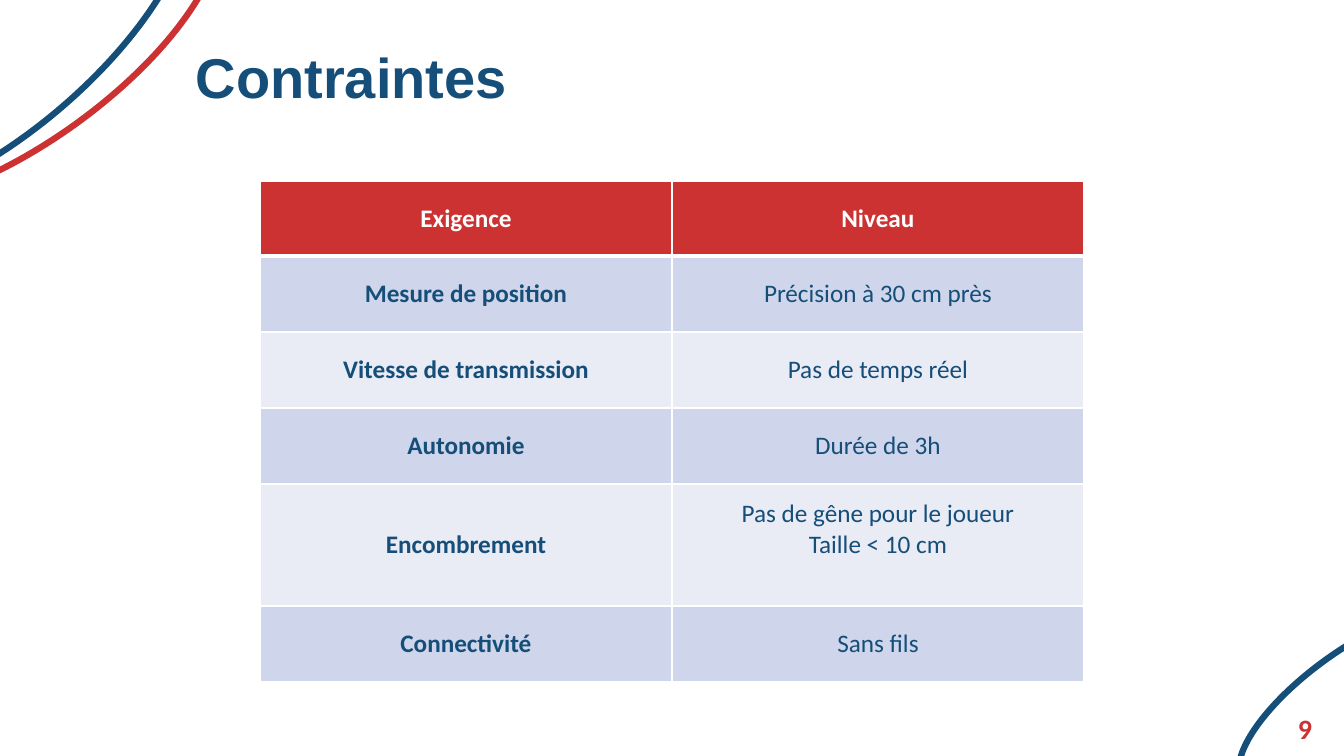
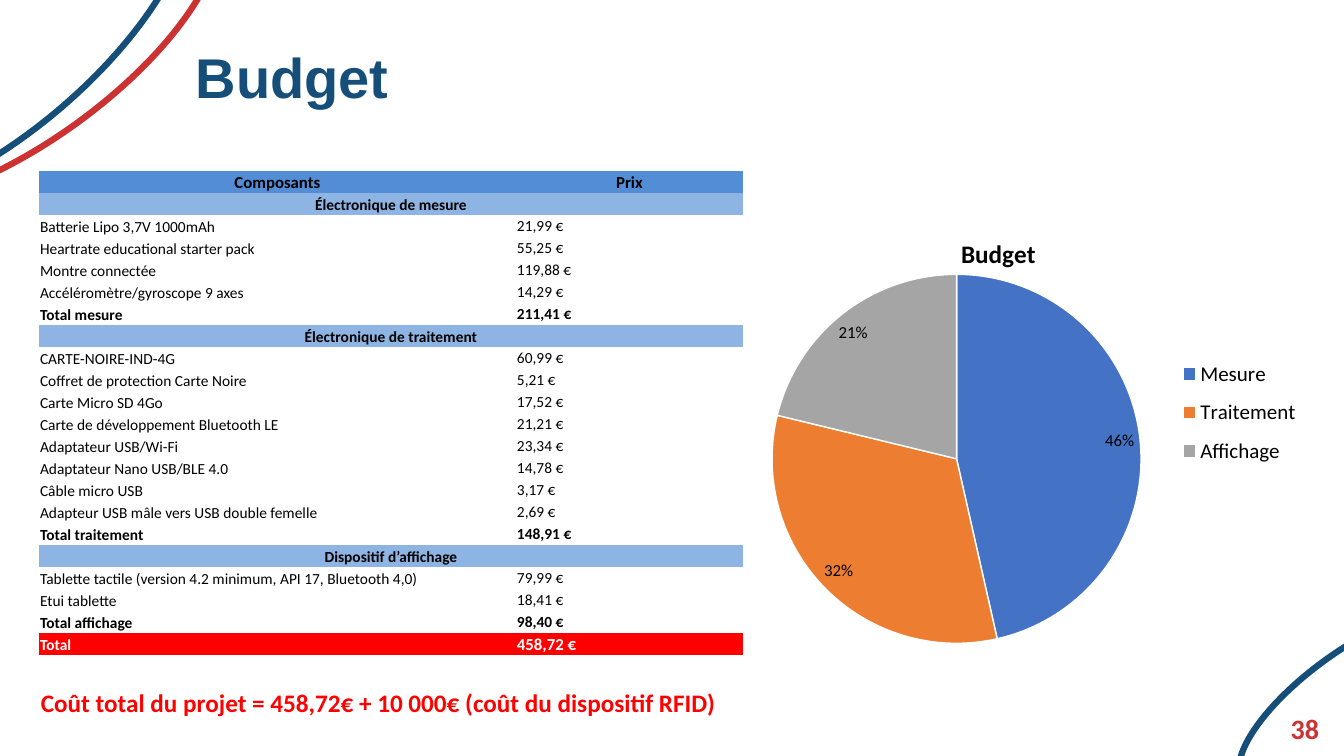
from lxml import etree
from pptx import Presentation
from pptx.chart.data import CategoryChartData
from pptx.dml.color import RGBColor
from pptx.enum.chart import XL_CHART_TYPE, XL_LABEL_POSITION, XL_LEGEND_POSITION
from pptx.enum.shapes import MSO_SHAPE
from pptx.enum.text import MSO_ANCHOR, MSO_AUTO_SIZE, PP_ALIGN
from pptx.oxml import parse_xml
from pptx.oxml.ns import nsdecls, qn
from pptx.util import Pt

PIE = XL_CHART_TYPE.PIE
BEST_FIT = XL_LABEL_POSITION.BEST_FIT
LEGEND_RIGHT = XL_LEGEND_POSITION.RIGHT
DELAY = MSO_SHAPE.FLOWCHART_DELAY
TOP, MIDDLE, BOTTOM = MSO_ANCHOR.TOP, MSO_ANCHOR.MIDDLE, MSO_ANCHOR.BOTTOM
GROW, FIXED = MSO_AUTO_SIZE.SHAPE_TO_FIT_TEXT, MSO_AUTO_SIZE.NONE
LEFT, CENTER = PP_ALIGN.LEFT, PP_ALIGN.CENTER

WIDTH, HEIGHT = 1344, 756
SCALE = 12192000 / WIDTH
NO_STYLE = "{2D5ABB26-0587-4C30-8999-92F81FD0307C}"
COLORS = {
    "blue": "154E79", "red": "CC3232", "alert": "FF0000",
    "white": "FFFFFF", "black": "000000",
    "band_dark": "CFD5EA", "band_light": "E9EBF5",
    "head": "538DD5", "section": "8DB4E2",
    "measure": "4472C4", "process": "ED7D31", "display": "A5A5A5",
}
SWOOPS = [
    ((-81, -195, 197, 479), 54.3, "red"),
    ((-101, -207, 197, 479), 49.4, "blue"),
    ((1308, 554, 111, 294), 235.4, "blue"),
]
REQUIREMENTS = [
    ("Exigence", "Niveau"),
    ("Mesure de position", "Précision à 30 cm près"),
    ("Vitesse de transmission", "Pas de temps réel"),
    ("Autonomie", "Durée de 3h"),
    ("Encombrement", "Pas de gêne pour le joueur\nTaille < 10 cm"),
    ("Connectivité", "Sans fils"),
]
COSTS = [
    ("Composants", "Prix"),
    ("Électronique de mesure",),
    ("Batterie Lipo 3,7V 1000mAh", "21,99 €"),
    ("Heartrate educational starter pack", "55,25 €"),
    ("Montre connectée", "119,88 €"),
    ("Accéléromètre/gyroscope 9 axes", "14,29 €"),
    ("Total mesure", "211,41 €"),
    ("Électronique de traitement",),
    ("CARTE-NOIRE-IND-4G", "60,99 €"),
    ("Coffret de protection Carte Noire", "5,21 €"),
    ("Carte Micro SD 4Go", "17,52 €"),
    ("Carte de développement Bluetooth LE", "21,21 €"),
    ("Adaptateur USB/Wi-Fi", "23,34 €"),
    ("Adaptateur Nano USB/BLE 4.0", "14,78 €"),
    ("Câble micro USB", "3,17 €"),
    ("Adapteur USB mâle vers USB double femelle", "2,69 €"),
    ("Total traitement", "148,91 €"),
    ("Dispositif d’affichage",),
    ("Tablette tactile (version 4.2 minimum, API 17, Bluetooth 4,0)", "79,99 €"),
    ("Etui tablette", "18,41 €"),
    ("Total affichage", "98,40 €"),
    ("Total", "458,72 €"),
]
SHARES = [("Mesure", 46, "measure"), ("Traitement", 32, "process"),
          ("Affichage", 21, "display")]


def px(n):
    return round(n * SCALE)


def rgb(name):
    return RGBColor.from_string(COLORS[name])


class Deck:
    """Holds the shared style and the slide being drawn."""

    def __init__(self):
        self.prs = Presentation()
        self.prs.slide_width, self.prs.slide_height = px(WIDTH), px(HEIGHT)
        self.s = None

    def slide(self, title, number):
        self.s = self.prs.slides.add_slide(self.prs.slide_layouts[6])
        for box, angle, color in SWOOPS:
            self.swoop(box, angle, color)
        self.text((1272, 701, 66, 55), number, 20, "red", align=CENTER, anchor=MIDDLE)
        self.text((186, 38, 988, 78), title, 40, "blue", name="Arial", grow=GROW)

    def swoop(self, box, angle, color):
        sp = self.s.shapes.add_shape(DELAY, *map(px, box))
        sp.rotation = angle
        sp.shadow.inherit = False
        sp.fill.background()
        sp.line.color.rgb = rgb(color)
        sp.line.width = Pt(4.5)

    def font(self, font, size, color="black", bold=False, name="Calibri"):
        values = {"size": Pt(size), "bold": bold, "name": name}
        for key, value in values.items():
            setattr(font, key, value)
        font.color.rgb = rgb(color)

    def fill_text(self, tf, text, align, size, color, bold, name="Calibri"):
        tf.text = text
        for p in tf.paragraphs:
            p.alignment = align
            for r in p.runs:
                self.font(r.font, size, color, bold, name)

    def text(self, box, text, size, color, name="Calibri", align=LEFT,
             anchor=TOP, grow=FIXED, wrap=True):
        tf = self.s.shapes.add_textbox(*map(px, box)).text_frame
        values = {"word_wrap": wrap, "auto_size": grow, "vertical_anchor": anchor}
        for key, value in values.items():
            setattr(tf, key, value)
        self.fill_text(tf, text, align, size, color, True, name)

    def table(self, left, top, widths, heights):
        frame = self.s.shapes.add_table(len(heights), len(widths), px(left), px(top),
                                        px(sum(widths)), px(sum(heights)))
        table = frame.table
        table.first_row = table.horz_banding = False
        frame._element.find(".//" + qn("a:tableStyleId")).text = NO_STYLE
        for col, width in zip(table.columns, widths):
            col.width = px(width)
        for row, height in zip(table.rows, heights):
            row.height = px(height)
        return table

    def cell(self, cell, text, size, color, bold, fill=None, align=LEFT,
             anchor=MIDDLE, margin=None):
        cell.vertical_anchor = anchor
        if margin is not None:
            for side in ("left", "right", "top"):
                setattr(cell, "margin_" + side, px(margin))
            cell.margin_bottom = 0
        if fill:
            cell.fill.solid()
            cell.fill.fore_color.rgb = rgb(fill)
        else:
            cell.fill.background()
        self.fill_text(cell.text_frame, text, align, size, color, bold)

    def borders(self, cell, color, **widths):
        tc_pr = cell._tc.get_or_add_tcPr()
        for i, (side, width) in enumerate(widths.items()):
            ln = etree.Element(qn("a:ln" + side), w=str(Pt(width)))
            fill = etree.SubElement(ln, qn("a:solidFill"))
            etree.SubElement(fill, qn("a:srgbClr"), val=COLORS[color])
            tc_pr.insert(i, ln)

    def place(self, parent, index, target="", **fractions):
        for old in parent.findall(qn("c:layout")):
            parent.remove(old)
        items = [("layoutTarget", target)] if target else []
        items += [("xMode", "edge"), ("yMode", "edge"), *fractions.items()]
        body = "".join(f'<c:{tag} val="{value}"/>' for tag, value in items)
        parent.insert(index, parse_xml(
            f'<c:layout {nsdecls("c")}><c:manualLayout>{body}</c:manualLayout></c:layout>'))

    def pie(self, box, title, shares):
        data = CategoryChartData()
        data.categories = [name for name, _, _ in shares]
        data.add_series(title, [value for _, value, _ in shares])
        chart = self.s.shapes.add_chart(PIE, *map(px, box), data).chart
        self.font(chart.font, 10)
        chart.has_title = chart.has_legend = True
        self.fill_text(chart.chart_title.text_frame, title, CENTER, 18, "black", True)
        chart.legend.position = LEGEND_RIGHT
        chart.legend.include_in_layout = False
        self.font(chart.legend.font, 15)
        plot = chart.plots[0]
        plot.vary_by_categories = True
        plot.has_data_labels = True
        labels = plot.data_labels
        values = {"show_percentage": True, "show_value": False, "number_format": "0%",
                  "number_format_is_linked": False, "position": BEST_FIT}
        for key, value in values.items():
            setattr(labels, key, value)
        self.font(labels.font, 12)
        for i, (_, _, color) in enumerate(shares):
            fmt = plot.series[0].points[i].format
            fmt.fill.solid()
            fmt.fill.fore_color.rgb = rgb(color)
            fmt.line.color.rgb = rgb("white")
            fmt.line.width = Pt(1)
        root = chart.element
        self.place(root.find(".//" + qn("c:title")), 1, x=0.37, y=0.08)
        self.place(root.find(".//" + qn("c:legend")), 1, x=0.72, y=0.33, w=0.22, h=0.28)
        self.place(root.find(".//" + qn("c:plotArea")), 0, "inner",
                   x=0.07, y=0.17, w=0.6, h=0.8)


def constraints(deck):
    deck.slide("Contraintes", "9")
    table = deck.table(260, 181, [412, 412], [75, 76, 76, 76, 122, 76])
    for i, row in enumerate(REQUIREMENTS):
        head = i == 0
        fill = "red" if head else ("band_light", "band_dark")[i % 2]
        for j, text in enumerate(row):
            cell = table.cell(i, j)
            deck.cell(cell, text, 18, "white" if head else "blue",
                      head or j == 0, fill, CENTER)
            deck.borders(cell, "white", L=1, R=1, T=3 if i == 1 else 1, B=3 if head else 1)
            if "\n" in text:
                cell.margin_bottom = px(36)


def budget(deck):
    deck.slide("Budget", "38")
    deck.text((31, 682, 704, 40),
              "Coût total du projet = 458,72€ + 10 000€ (coût du dispositif RFID)",
              18, "alert", grow=GROW, wrap=False)
    table = deck.table(39, 171, [477, 227], [22] * len(COSTS))
    for i, row in enumerate(COSTS):
        head, section, total = i == 0, len(row) == 1, row[0] == "Total"
        fill = "head" if head else "section" if section else "alert" if total else None
        if section:
            table.cell(i, 0).merge(table.cell(i, 1))
        for j, text in enumerate(row):
            deck.cell(table.cell(i, j), text, 12 if head or total and j else 11,
                      "white" if total else "black",
                      bool(fill) or row[0].startswith("Total"), fill,
                      CENTER if head or section else LEFT,
                      BOTTOM if fill or j == 0 else MIDDLE, 1)
    deck.pie((729, 195, 615, 463), "Budget", SHARES)


def main():
    deck = Deck()
    constraints(deck)
    budget(deck)
    deck.prs.save("out.pptx")


if __name__ == "__main__":
    main()
